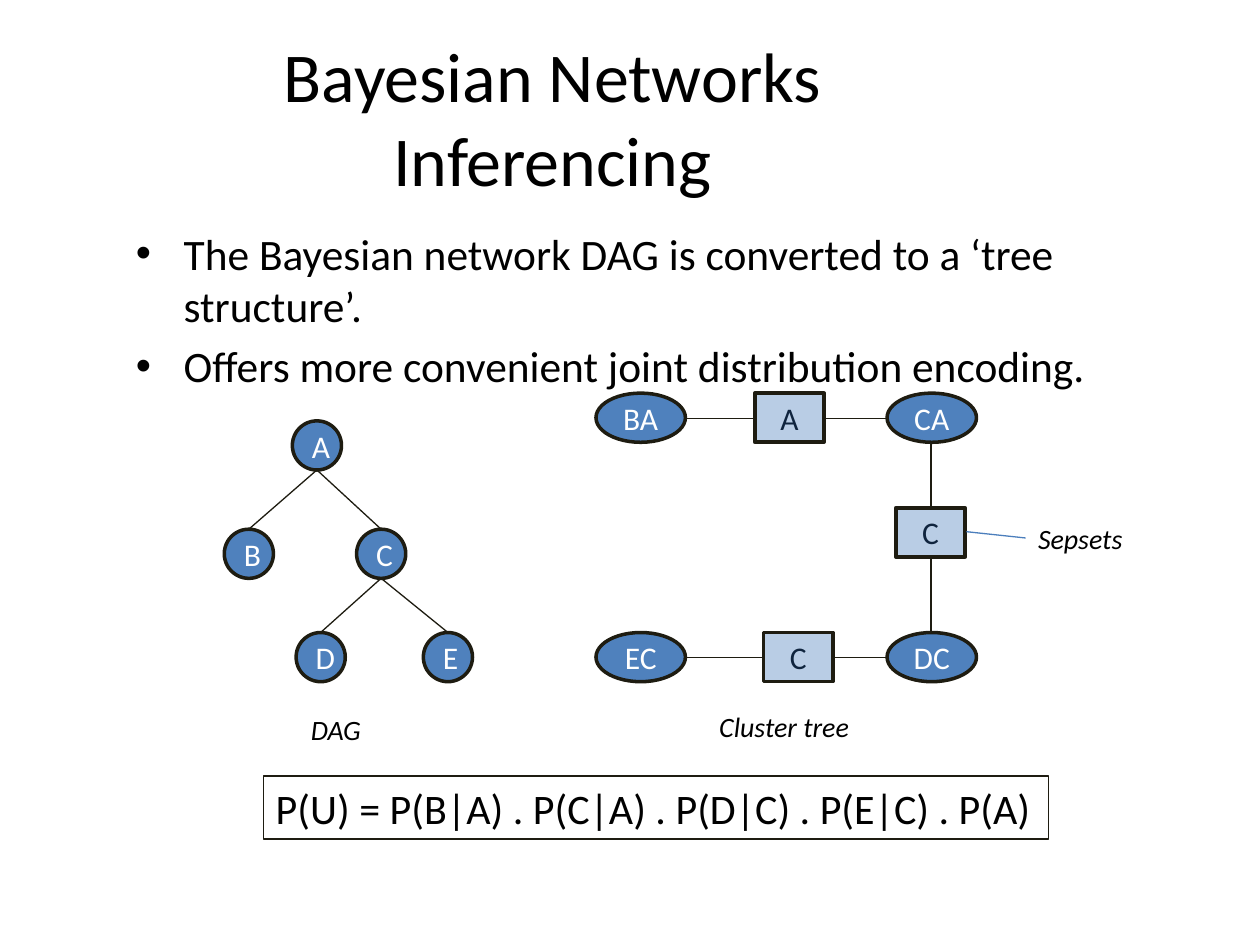
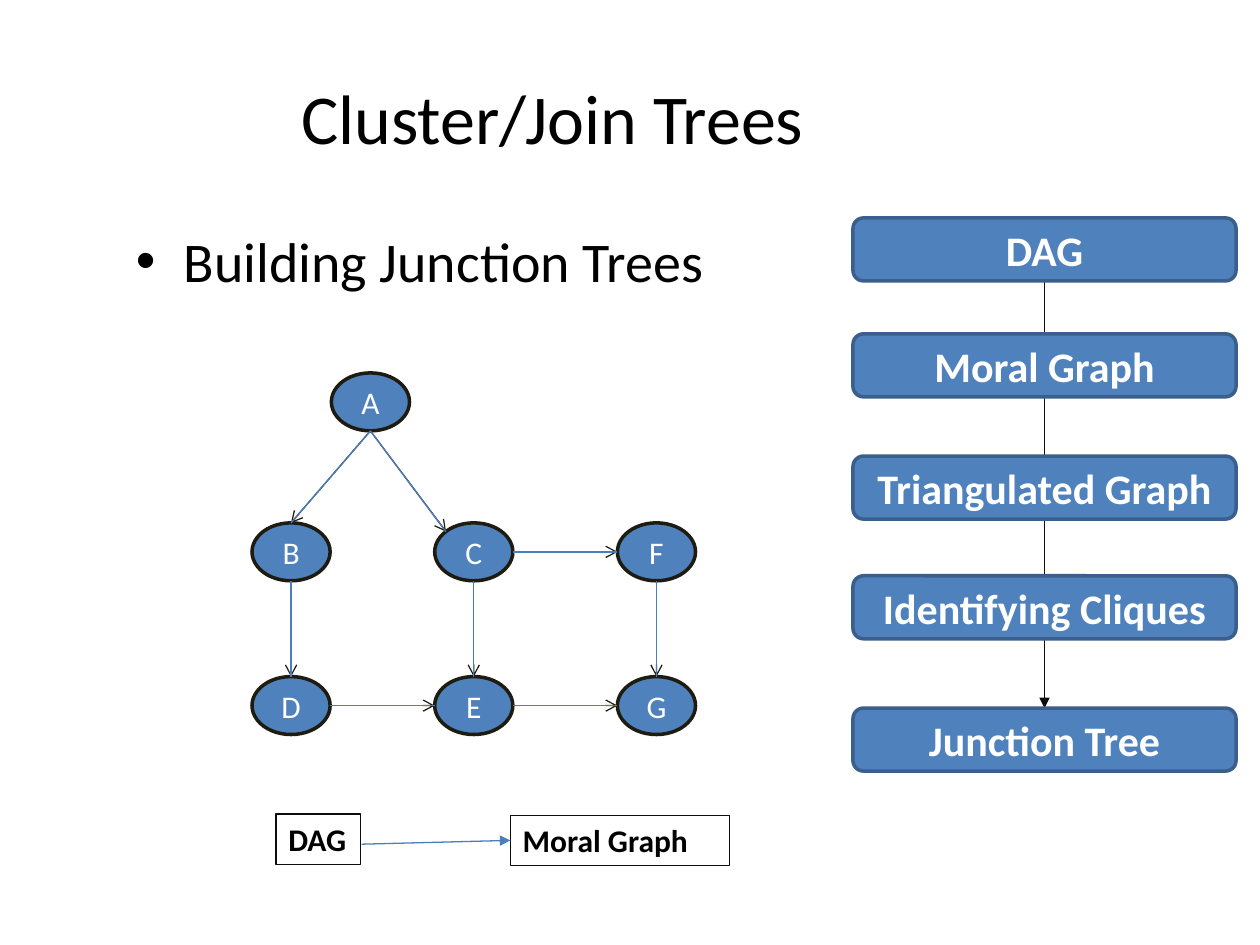
from lxml import etree
from pptx import Presentation
from pptx.dml.color import RGBColor
from pptx.enum.shapes import MSO_CONNECTOR, MSO_SHAPE as SHAPE
from pptx.enum.text import MSO_ANCHOR as ANCHOR, MSO_AUTO_SIZE as AUTO, PP_ALIGN as ALIGN
from pptx.oxml.ns import qn
from pptx.util import Inches, Pt

FONT = "Calibri"
BLACK, WHITE, INK, NEAR_BLACK = "000000", "FFFFFF", "1E1C11", "0D0D0D"
BLUE, PALE, NAVY, EDGE, BORDER = "4F81BD", "B9CDE5", "0F243E", "4B7EBC", "3A5F8C"


def add_text(s, text, box, kind=None, sp=None, size=18, color=BLACK, bold=False,
             italic=False, fill=None, line=None, weight=2, center=False,
             bullet=False, wrap=True, grow=False):
    if sp is None:
        pos = [Inches(v) for v in box]
        sp = s.shapes.add_shape(kind, *pos) if kind else s.shapes.add_textbox(*pos)
    else:
        sp.left, sp.top, sp.width, sp.height = [Inches(v) for v in box]
    if kind:
        sp.shadow.inherit = False
    if fill:
        sp.fill.solid()
        sp.fill.fore_color.rgb = RGBColor.from_string(fill)
    if line:
        sp.line.color.rgb = RGBColor.from_string(line)
        sp.line.width = Pt(weight)
    tf = sp.text_frame
    tf.word_wrap = wrap
    tf.auto_size = AUTO.SHAPE_TO_FIT_TEXT if grow else AUTO.NONE
    tf.vertical_anchor = ANCHOR.MIDDLE if center else ANCHOR.TOP
    for i, part in enumerate(text.split("\n")):
        p = tf.add_paragraph() if i else tf.paragraphs[0]
        p.alignment = ALIGN.CENTER if center else ALIGN.LEFT
        if i:
            p.space_before = Pt(size * 0.2)
        if bullet:
            pPr = p._p.get_or_add_pPr()
            pPr.set("marL", str(Inches(0.38)))
            pPr.set("indent", str(Inches(-0.38)))
            etree.SubElement(pPr, qn("a:buFont")).set("typeface", "Arial")
            etree.SubElement(pPr, qn("a:buChar")).set("char", "•")
        r = p.add_run()
        r.text = part
        r.font.name, r.font.size = FONT, Pt(size)
        r.font.bold, r.font.italic = bold, italic
        r.font.color.rgb = RGBColor.from_string(color)
    return sp


def add_line(s, start, end, color=INK, arrow=None):
    c = s.shapes.add_connector(MSO_CONNECTOR.STRAIGHT, *[Inches(v) for v in (*start, *end)])
    c.line.color.rgb = RGBColor.from_string(color)
    c.line.width = Pt(0.75)
    if arrow:
        etree.SubElement(c.line._get_or_add_ln(), qn("a:tailEnd")).set("type", arrow)
    etree.SubElement(c._element.spPr, qn("a:effectLst"))


prs = Presentation()
prs.slide_width, prs.slide_height = Inches(10), Inches(7.5)
slides = []
for title, body, height, width, size in [
    ("Bayesian Networks Inferencing",
     "The Bayesian network DAG is converted to a ‘tree structure’.\n"
     "Offers more convenient joint distribution encoding.", 1.61, 8.19, 24.8),
    ("Cluster/Join Trees", "Building Junction Trees", 0.73, 5.04, 32),
]:
    s = prs.slides.add_slide(prs.slide_layouts[5])
    add_text(s, title, (0.98, 0.3, 6.81, 1.25), sp=s.shapes.title, size=40, center=True)
    add_text(s, body, (0.98, 1.75, width, height), size=size, bullet=True)
    slides.append(s)
s, s2 = slides

node = dict(kind=SHAPE.OVAL, color=WHITE, fill=BLUE, line=INK, center=True)
sepset = dict(kind=SHAPE.RECTANGLE, color=NAVY, fill=PALE, line=INK, center=True)

d = 0.39
dag = {"A": (2.32, 3.34), "B": (1.78, 4.2), "C": (2.83, 4.2), "D": (2.35, 5.02), "E": (3.36, 5.02)}
for name, (x, y) in dag.items():
    add_text(s, name, (x, y, d, d), **node)
for parent, child in ["AB", "AC", "CD", "CE"]:
    (x1, y1), (x2, y2) = dag[parent], dag[child]
    add_line(s, (x1 + d / 2, y1 + d), (x2 + d / 2, y2))

left, right, top, bottom = 5.44, 7.04, 3.32, 5.22
add_line(s, (left, top), (right, top))
add_line(s, (7.39, 5.02), (7.39, 3.51))
add_line(s, (right, bottom), (left, bottom))
for name, x, y in [("BA", 4.73, 3.12), ("CA", 7.04, 3.12), ("EC", 4.73, 5.02), ("DC", 7.04, 5.02)]:
    add_text(s, name, (x, y, 0.71, d), **node)
for name, x, y in [("A", 5.99, 3.12), ("C", 6.06, 5.02), ("C", 7.11, 4.03)]:
    add_text(s, name, (x, y, 0.55, d), **sepset)

add_text(s, "P(U) = P(B|A) . P(C|A) . P(D|C) . P(E|C) . P(A)", (2.09, 6.16, 6.23, 0.5),
         size=24, line=INK, weight=0.75, wrap=False, grow=True)
for label, x, y, w in [("Cluster tree", 5.61, 5.58, 1.27), ("Sepsets", 8.14, 4.09, 0.9),
                       ("DAG", 2.37, 5.61, 0.6)]:
    add_text(s, label, (x, y, w, 0.37), size=16, italic=True, wrap=False, grow=True)
add_line(s, (8.14, 4.27), (7.67, 4.22), EDGE)

s = s2
add_line(s, (8.29, 2.24), (8.29, 5.62), NEAR_BLACK, "triangle")
for step, y in [("DAG", 1.73), ("Moral Graph", 2.65), ("Triangulated Graph", 3.62),
                ("Identifying Cliques", 4.57), ("Junction Tree", 5.62)]:
    add_text(s, step, (6.77, y, 3.04, 0.5), SHAPE.ROUNDED_RECTANGLE, size=24, color=WHITE,
             bold=True, fill=BLUE, line=BORDER, center=True)

w, h = 0.62, 0.46
columns, rows = (2, 3.45, 4.9), (4.15, 5.37)
graph = {"A": (2.63, 2.96)}
for names, y in zip(("BCF", "DEG"), rows):
    for name, x in zip(names, columns):
        graph[name] = (x, y)
for name, (x, y) in graph.items():
    add_text(s, name, (x, y, w, h), **node)
for parent, child in ["AB", "AC", "BD", "CE", "CF", "FG", "DE", "EG"]:
    (x1, y1), (x2, y2) = graph[parent], graph[child]
    if y1 == y2:
        start, end = (x1 + w, y1 + h / 2), (x2, y2 + h / 2)
    else:
        start, end = (x1 + w / 2, y1 + h), (x2 + w / 2, y2)
    if parent + child == "AC":
        end = (x2 + 0.09, y2 + 0.07)
    add_line(s, start, end, INK, "arrow")
    add_line(s, start, end, EDGE)

for label, x, y, width, wrap in [("DAG", 2.19, 6.46, 0.67, False), ("Moral Graph", 4.05, 6.47, 1.74, True)]:
    add_text(s, label, (x, y, width, 0.4), bold=True, line=NEAR_BLACK, weight=0.75, wrap=wrap, grow=True)
add_line(s, (2.87, 6.7), (4.05, 6.67), EDGE, "triangle")

prs.save("out.pptx")
